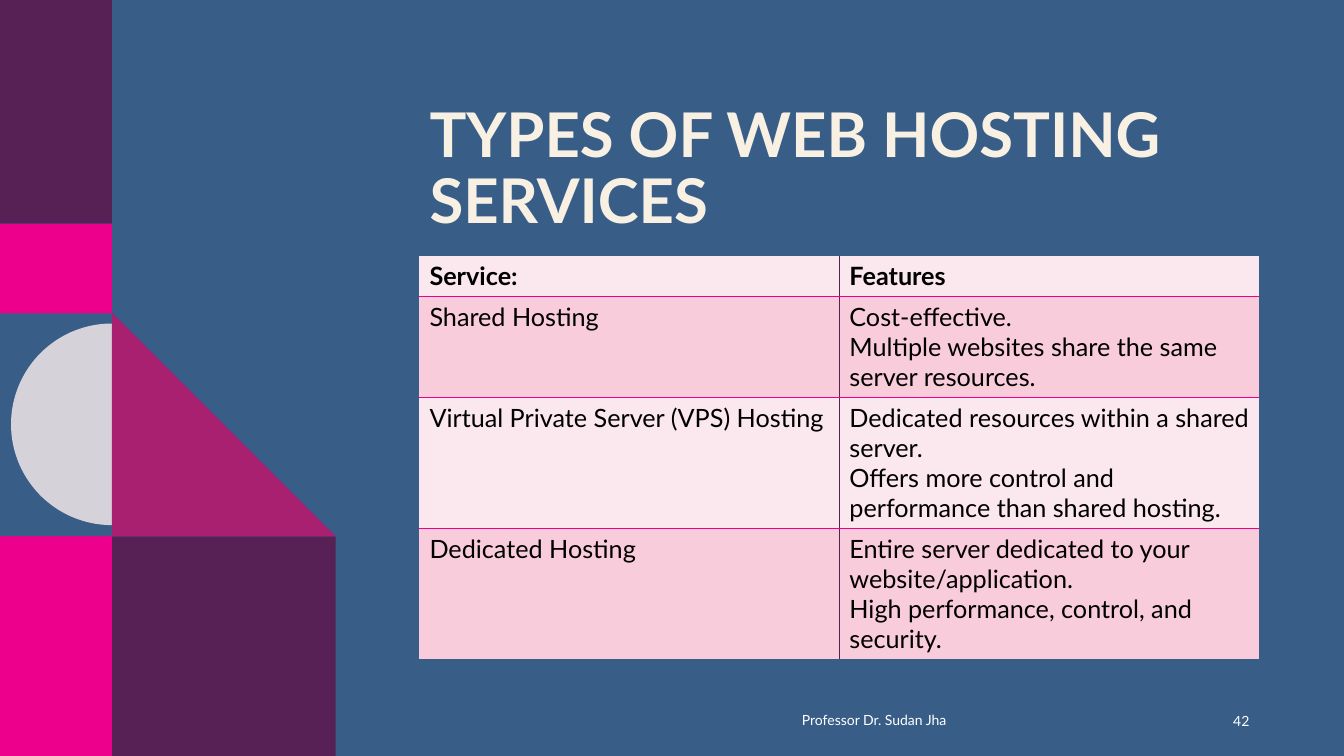
from dataclasses import dataclass
from math import cos, pi, sin

from lxml.etree import SubElement
from pptx import Presentation
from pptx.dml.color import RGBColor as Color
from pptx.enum.shapes import MSO_SHAPE as Preset
from pptx.enum.text import MSO_ANCHOR as Anchor, MSO_AUTO_SIZE as AutoSize, PP_ALIGN as Align
from pptx.oxml import parse_xml
from pptx.oxml.ns import nsdecls, qn
from pptx.util import Inches, Pt


@dataclass(frozen=True)
class Theme:
    font: str = "Lato"
    blue: str = "385E88"
    purple: str = "582156"
    pink: str = "EC008C"
    grey: str = "D5D2DA"
    magenta: str = "AA2070"
    cream: str = "F8F0E3"
    white: str = "FFFFFF"
    black: str = "000000"
    bands: tuple = ("FBE7EE", "F8CCDA")
    title_size: int = 44
    table_size: int = 18
    footer_size: int = 10


THEME = Theme()
TITLE = "TYPES OF WEB HOSTING SERVICES"
SERVICES = [
    ("Service:", ["Features"]),
    ("Shared Hosting", ["Cost-effective.", "Multiple websites share the same server resources."]),
    ("Virtual Private Server (VPS) Hosting",
     ["Dedicated resources within a shared server.",
      "Offers more control and performance than shared hosting."]),
    ("Dedicated Hosting",
     ["Entire server dedicated to your website/application.",
      "High performance, control, and security."]),
]
ROW_HEIGHTS = [0.4, 1.0, 1.3, 1.3]
FOOTERS = [
    ("Professor Dr. Sudan Jha", (7.42, 6.94, 2.5, 0.4), Align.CENTER),
    ("42", (11.99, 6.95, 0.5, 0.4), Align.RIGHT),
]
UNIT = 1.11
BLOCKS = [
    ((UNIT, 5.32, 2 * UNIT, 2.18), THEME.purple),
    ((0, 5.28, UNIT, 2.22), THEME.pink),
    ((0, 3.1, UNIT, 2.22), THEME.blue),
    ((0, 0, UNIT, 2.22), THEME.purple),
    ((0, 2.22, UNIT, 0.89), THEME.pink),
]
ARC_STEPS = 90
HALF_DISC = [(UNIT - sin(pi * step / ARC_STEPS), 4.21 - cos(pi * step / ARC_STEPS))
             for step in range(ARC_STEPS + 1)]
TRIANGLE = [(UNIT, 3.1), (3 * UNIT, 5.32), (UNIT, 5.32)]


def inches(numbers):
    return [Inches(number) for number in numbers]


def paint(shape, color):
    shape.shadow.inherit = False
    shape.fill.solid()
    shape.fill.fore_color.rgb = Color.from_string(color)
    shape.line.fill.background()


def write(frame, lines, size, color, bold=False, align=Align.LEFT):
    frame.word_wrap = True
    for index, line in enumerate(lines):
        para = frame.paragraphs[0] if index == 0 else frame.add_paragraph()
        para.text = line
        para.alignment = align
        para.font.name = THEME.font
        para.font.size = Pt(size)
        para.font.bold = bold
        para.font.color.rgb = Color.from_string(color)


def draw_outline(page, points, color):
    corners = [tuple(inches(point)) for point in points]
    builder = page.shapes.build_freeform(*corners[0])
    builder.add_line_segments(corners[1:], close=True)
    paint(builder.convert_to_shape(), color)


def set_borders(cell, edges):
    properties = cell._tc.get_or_add_tcPr()
    for position, (side, color) in enumerate(edges):
        line = parse_xml(f'<a:{side} {nsdecls("a")} w="12700"/>')
        if color:
            fill = SubElement(line, qn("a:solidFill"))
            SubElement(fill, qn("a:srgbClr"), val=color)
        else:
            SubElement(line, qn("a:noFill"))
        properties.insert(position, line)


def add_services(page):
    last = len(SERVICES) - 1
    frame = page.shapes.add_table(len(SERVICES), 2, *inches((4.16, 2.54, 8.33, sum(ROW_HEIGHTS))))
    table = frame.table
    table.first_row = table.horz_banding = False
    for column in table.columns:
        column.width = Inches(4.165)
    for row, (service, features) in enumerate(SERVICES):
        table.rows[row].height = Inches(ROW_HEIGHTS[row])
        for column, lines in enumerate(([service], features)):
            cell = table.cell(row, column)
            write(cell.text_frame, lines, THEME.table_size, THEME.black, bold=row == 0)
            cell.fill.solid()
            cell.fill.fore_color.rgb = Color.from_string(THEME.bands[row % 2])
            set_borders(cell, [
                ("lnL", THEME.purple if column == 1 else None),
                ("lnR", THEME.purple if column == 0 else None),
                ("lnT", THEME.pink if row > 0 else None),
                ("lnB", THEME.pink if row < last else None),
            ])


def main():
    deck = Presentation()
    deck.slide_width, deck.slide_height = Inches(13.33), Inches(7.5)
    page = deck.slides.add_slide(deck.slide_layouts[5])
    page.background.fill.solid()
    page.background.fill.fore_color.rgb = Color.from_string(THEME.blue)

    for place, color in BLOCKS:
        paint(page.shapes.add_shape(Preset.RECTANGLE, *inches(place)), color)
    draw_outline(page, HALF_DISC, THEME.grey)
    draw_outline(page, TRIANGLE, THEME.magenta)

    title = page.shapes.title
    title.left, title.top, title.width, title.height = inches((4.16, 0.98, 8.32, 2.22))
    write(title.text_frame, [TITLE], THEME.title_size, THEME.cream, bold=True)
    title.text_frame.auto_size = AutoSize.NONE
    title.text_frame.vertical_anchor = Anchor.TOP
    title.text_frame.paragraphs[0].line_spacing = 0.9

    add_services(page)
    for text, place, align in FOOTERS:
        box = page.shapes.add_textbox(*inches(place))
        box.text_frame.vertical_anchor = Anchor.MIDDLE
        write(box.text_frame, [text], THEME.footer_size, THEME.white, align=align)
    deck.save("out.pptx")


if __name__ == "__main__":
    main()
